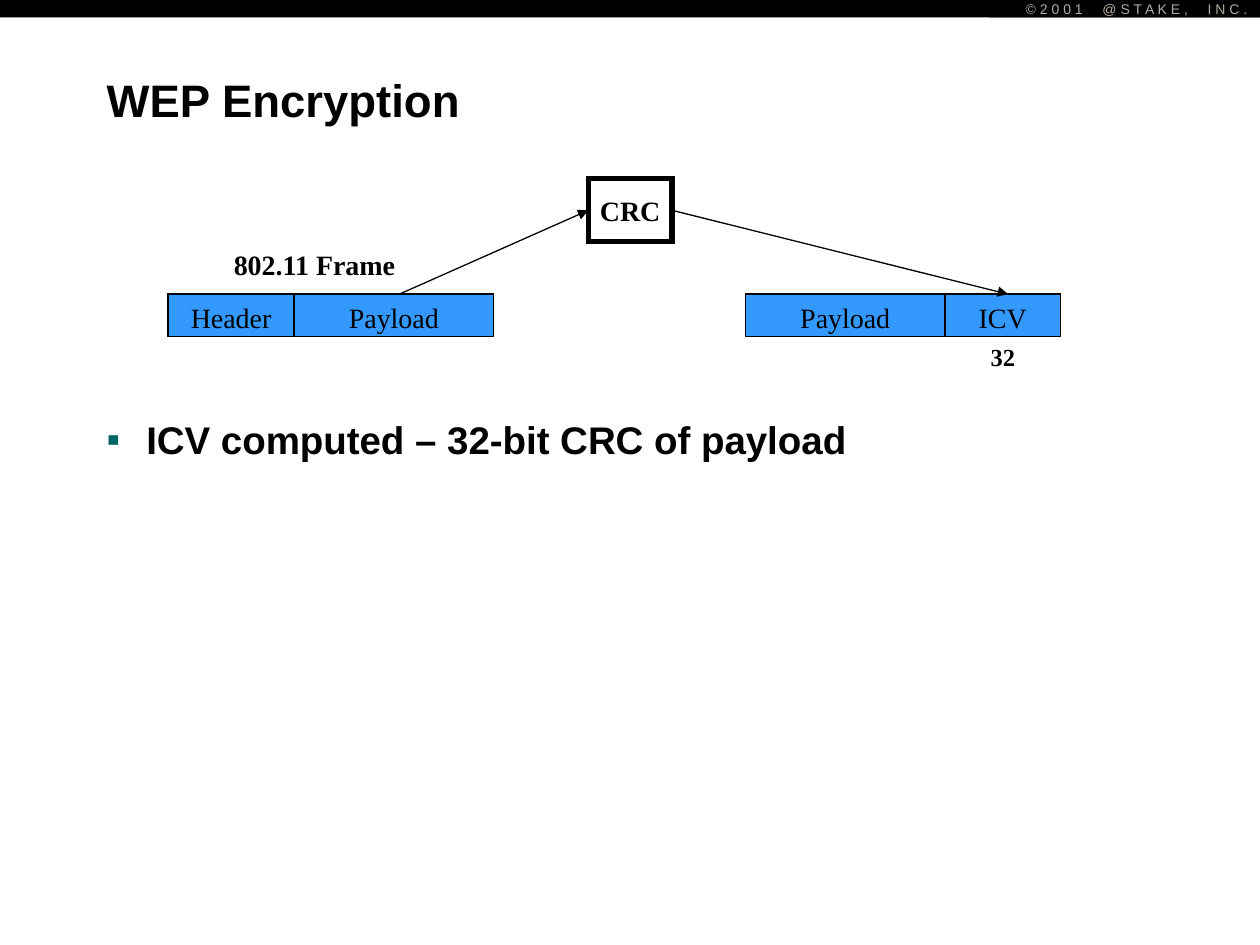
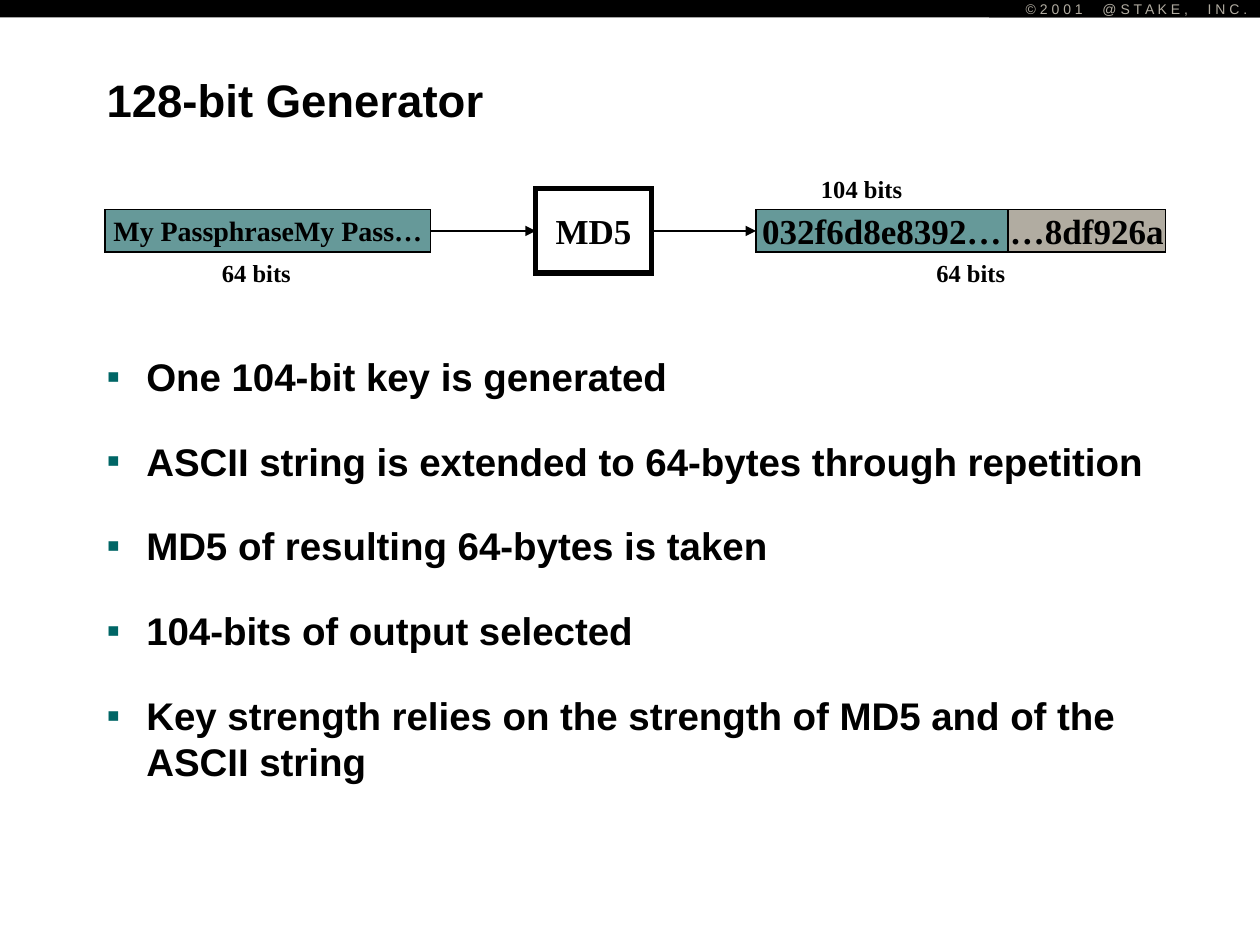
from collections import namedtuple

from lxml import etree
from pptx import Presentation
from pptx.dml.color import RGBColor
from pptx.enum.shapes import MSO_CONNECTOR, MSO_SHAPE
from pptx.enum.text import MSO_ANCHOR, PP_ALIGN
from pptx.oxml.ns import qn
from pptx.util import Cm, Pt

LEFT, CENTER, RIGHT = PP_ALIGN.LEFT, PP_ALIGN.CENTER, PP_ALIGN.RIGHT
TOP, MIDDLE = MSO_ANCHOR.TOP, MSO_ANCHOR.MIDDLE
RECTANGLE, STRAIGHT = MSO_SHAPE.RECTANGLE, MSO_CONNECTOR.STRAIGHT

BLACK = RGBColor(0x00, 0x00, 0x00)
WHITE = RGBColor(0xFF, 0xFF, 0xFF)
BLUE = RGBColor(0x33, 0x99, 0xFF)
TEAL = RGBColor(0x66, 0x99, 0x99)
DARK_TEAL = RGBColor(0x00, 0x66, 0x66)
STONE = RGBColor(0xB1, 0xAC, 0xA1)

SANS, SERIF = "Arial", "Times New Roman"
FIELD_HEIGHT = 0.85
COPYRIGHT = ("© 2 0 0 1", "@ S T A K E ,", "I N C .")

Box = namedtuple("Box", "left top width height")
PAGE = Box(0, 0, 25.4, 19.05)


def inside(box, left, top, width, height):
    """Return a box placed relative to another one."""
    return Box(box.left + left, box.top + top, width, height)


def lengths(box):
    """Return the four measures of a box as lengths."""
    return [Cm(measure) for measure in box]


def add_bullet(paragraph):
    """Give a paragraph a hanging square bullet."""
    properties = paragraph._p.get_or_add_pPr()
    properties.set("marL", str(Cm(0.8)))
    properties.set("indent", str(-Cm(0.8)))
    color = etree.SubElement(properties, qn("a:buClr"))
    etree.SubElement(color, qn("a:srgbClr"), val=str(DARK_TEAL))
    etree.SubElement(properties, qn("a:buFont"), typeface=SANS)
    etree.SubElement(properties, qn("a:buChar"), char="▪")


def write(shape, *lines, size, font=SERIF, bold=True, color=BLACK, align=CENTER,
          anchor=MIDDLE, wrap=False, bullets=False):
    """Fill a shape with one paragraph for each line."""
    frame = shape.text_frame
    frame.word_wrap = wrap
    frame.vertical_anchor = anchor
    for index, line in enumerate(lines):
        paragraph = frame.add_paragraph() if index else frame.paragraphs[0]
        if bullets:
            add_bullet(paragraph)
            paragraph.space_before = Pt(11 if index else 0)
            paragraph.space_after = Pt(11)
        paragraph.alignment = align
        paragraph.font.size = Pt(size)
        paragraph.font.name = font
        paragraph.font.bold = bold
        paragraph.font.color.rgb = color
        paragraph.add_run().text = line
    return frame


def add_label(slide, box, *lines, **style):
    """Add a text box."""
    write(slide.shapes.add_textbox(*lengths(box)), *lines, **style)


def add_block(slide, box, fill, line_width=0):
    """Add a filled rectangle, outlined in black if a line width is given."""
    block = slide.shapes.add_shape(RECTANGLE, *lengths(box))
    block.shadow.inherit = False
    block.fill.solid()
    block.fill.fore_color.rgb = fill
    if line_width:
        block.line.color.rgb = BLACK
        block.line.width = Pt(line_width)
        etree.SubElement(block.line._get_or_add_ln(), qn("a:miter"), lim="800000")
    else:
        block.line.fill.background()
    return block


def add_field(slide, box, text, fill, **style):
    """Add one field of a frame or key."""
    field = add_block(slide, box, fill, 0.75)
    field.text_frame.margin_bottom = 0 if style.get("anchor") == TOP else Cm(0.13)
    write(field, text, **style)


def add_function(slide, box, text, size):
    """Add a thickly outlined function block."""
    write(add_block(slide, box, WHITE, 3), text, size=size)


def add_arrow(slide, box, start, end):
    """Add an arrow between two points of a box."""
    points = [Cm(value) for x, y in (start, end) for value in (box.left + x, box.top + y)]
    arrow = slide.shapes.add_connector(STRAIGHT, *points)
    arrow.line.color.rgb = BLACK
    arrow.line.width = Pt(0.75)
    etree.SubElement(arrow.line._get_or_add_ln(), qn("a:tailEnd"), type="triangle")
    etree.SubElement(arrow._element.spPr, qn("a:effectLst"))


def add_top_band(slide, box):
    """Add the black band with the widely spaced copyright line."""
    add_block(slide, box, BLACK)
    notice = add_block(slide, inside(box, 19.94, 0, 5.46, box.height), BLACK)
    frame = write(notice, COPYRIGHT[0], size=8, font=SANS, bold=False, color=STONE,
                  align=RIGHT, wrap=True)
    for word in COPYRIGHT[1:]:
        gap = frame.paragraphs[0].add_run()
        gap.text = " "
        gap._r.get_or_add_rPr().set("spc", "890")
        frame.paragraphs[0].add_run().text = word


def add_page(deck, title, bullets, bullets_top):
    """Add a slide with band, title and bullet list."""
    slide = deck.slides.add_slide(deck.slide_layouts[6])
    add_top_band(slide, inside(PAGE, 0, 0, PAGE.width, 0.35))
    add_label(slide, inside(PAGE, 1.9, 1.27, 21.6, 1.48), title, size=26, font=SANS,
              align=LEFT, wrap=True)
    add_label(slide, inside(PAGE, 1.9, bullets_top, 21.6, 9.6), *bullets, size=22,
              font=SANS, align=LEFT, anchor=TOP, wrap=True, bullets=True)
    return slide


def draw_checksum(slide, box):
    """Draw how the payload of a frame yields its ICV."""
    row = 2.33
    fields = (("Header", 0, 2.54), ("Payload", 2.54, 4.02),
              ("Payload", 11.64, 4.02), ("ICV", 15.66, 2.33))
    for name, left, width in fields:
        add_field(slide, inside(box, left, row, width, FIELD_HEIGHT), name, BLUE,
                  size=16, bold=False, anchor=TOP)
    add_label(slide, inside(box, 0.95, 1.26, 4, 0.94), "802.11 Frame", size=16, anchor=TOP)
    add_label(slide, inside(box, 16.08, 3.18, 1.5, 0.86), "32", size=14, anchor=TOP)
    add_function(slide, inside(box, 8.47, 0, 1.69, 1.27), "CRC", 16)
    add_arrow(slide, box, (4.66, row), (8.47, 0.64))
    add_arrow(slide, box, (10.16, 0.64), (16.93, row))


def draw_generator(slide, box):
    """Draw how a passphrase is hashed into a key."""
    row = 0.84
    middle = row + FIELD_HEIGHT / 2
    fields = (("My PassphraseMy Pass…", 0, 6.56, TEAL, 16),
              ("032f6d8e8392…", 13.12, 5.08, TEAL, 20),
              ("…8df926a", 18.2, 3.18, STONE, 20))
    for text, left, width, fill, size in fields:
        add_field(slide, inside(box, left, row, width, FIELD_HEIGHT), text, fill, size=size)
    add_function(slide, inside(box, 8.68, middle - 0.85, 2.33, 1.7), "MD5", 20)
    for start, end in ((6.56, 8.68), (11.01, 13.12)):
        add_arrow(slide, box, (start, middle), (end, middle))
    bit_counts = (("64 bits", 1.8, 1.69), ("64 bits", 16.2, 1.69), ("104 bits", 14, 0))
    for text, left, top in bit_counts:
        add_label(slide, inside(box, left, top, 2.5, 0.86), text, size=14, anchor=TOP)


def main():
    """Build and save the deck."""
    deck = Presentation()
    deck.slide_width, deck.slide_height = Cm(PAGE.width), Cm(PAGE.height)
    encryption = add_page(deck, "WEP Encryption",
                          ["ICV computed – 32-bit CRC of payload"], 8.26)
    draw_checksum(encryption, inside(PAGE, 3.39, 3.6, 18, 4.04))
    generator = add_page(deck, "128-bit Generator", [
        "One 104-bit key is generated",
        "ASCII string is extended to 64-bytes through repetition",
        "MD5 of resulting 64-bytes is taken",
        "104-bits of output selected",
        "Key strength relies on the strength of MD5 and of the ASCII string",
    ], 6.99)
    draw_generator(generator, inside(PAGE, 2.12, 3.39, 21.38, 2.56))
    deck.save("out.pptx")


if __name__ == "__main__":
    main()
